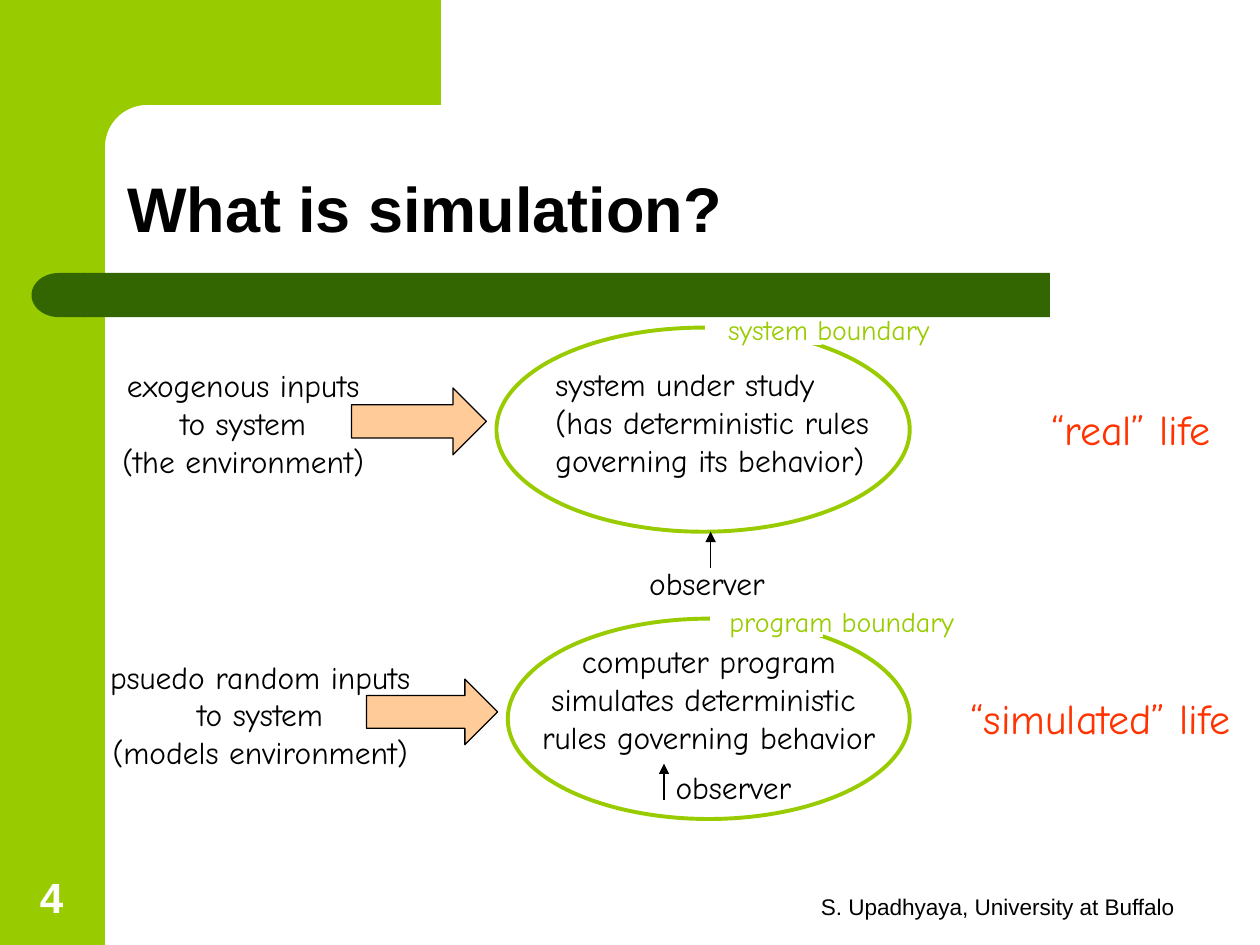
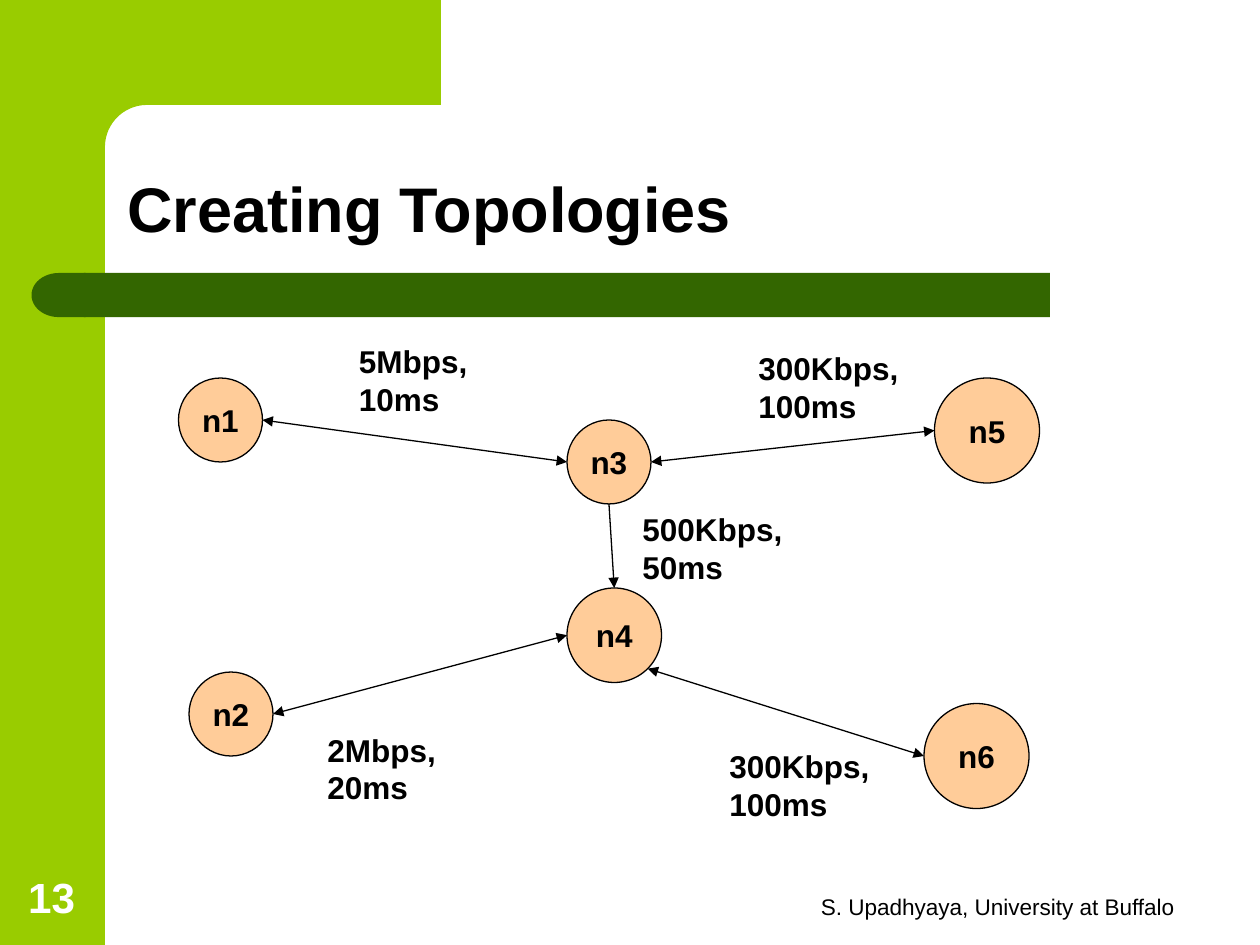
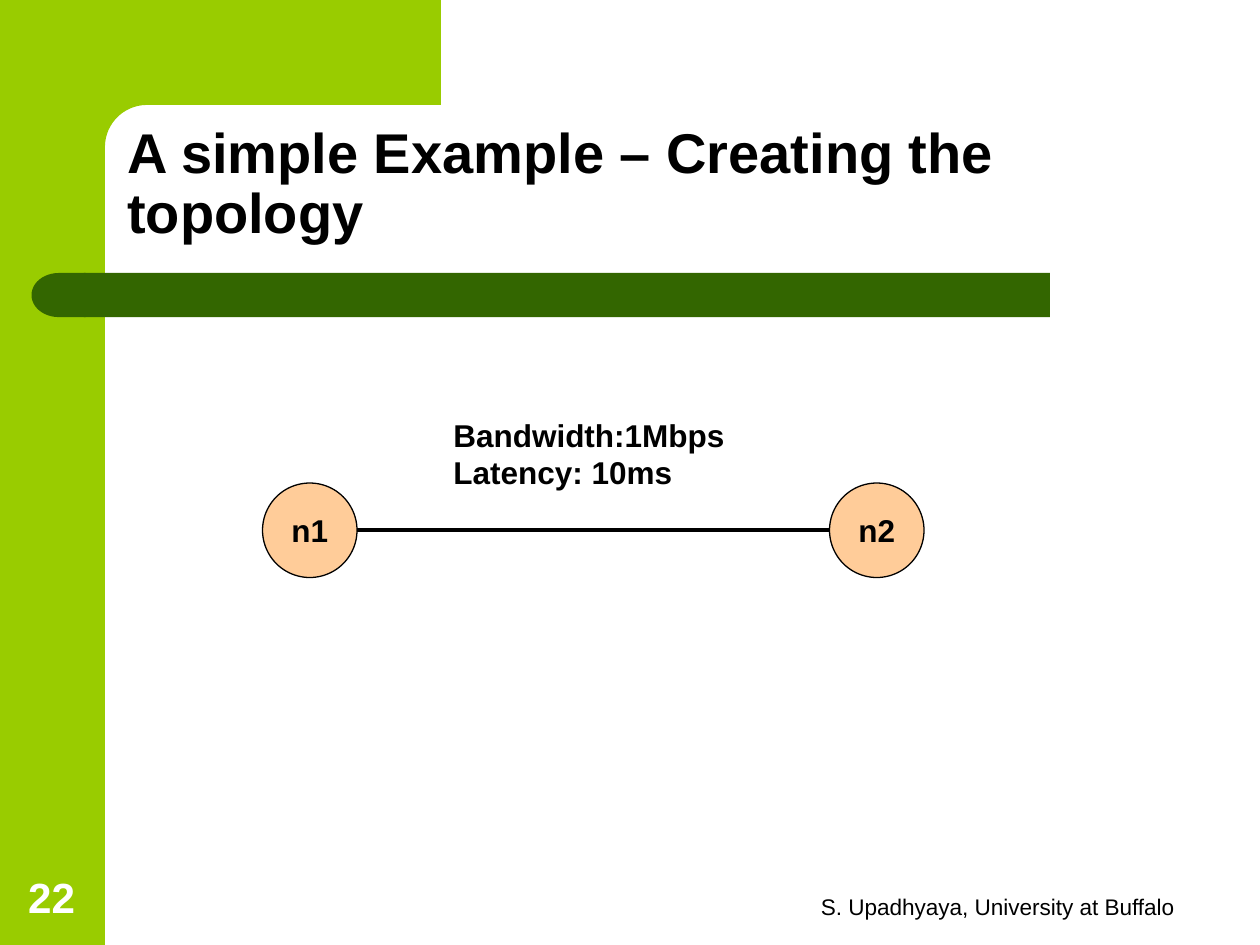
"""Three slides on network simulation, laid out on a grid of twelve cells per inch."""
from dataclasses import dataclass
from math import cos, radians, sin
from typing import Any, NamedTuple

from pptx import Presentation
from pptx.dml.color import RGBColor
from pptx.enum.shapes import MSO_CONNECTOR, MSO_SHAPE
from pptx.enum.text import MSO_ANCHOR, MSO_AUTO_SIZE, PP_ALIGN
from pptx.oxml.ns import qn
from pptx.util import Inches, Pt

RECTANGLE, ELLIPSE = MSO_SHAPE.RECTANGLE, MSO_SHAPE.OVAL
ARROW, DELAY = MSO_SHAPE.RIGHT_ARROW, MSO_SHAPE.FLOWCHART_DELAY
STRAIGHT = MSO_CONNECTOR.STRAIGHT
LEFT, CENTER = PP_ALIGN.LEFT, PP_ALIGN.CENTER
TOP, MIDDLE, BOTTOM = MSO_ANCHOR.TOP, MSO_ANCHOR.MIDDLE, MSO_ANCHOR.BOTTOM
FIT_SHAPE, NO_FIT = MSO_AUTO_SIZE.SHAPE_TO_FIT_TEXT, MSO_AUTO_SIZE.NONE

COLUMNS, ROWS, CELL = 120, 90, Inches(1) // 12
TITLE_ONLY = 5
COLORS = {"green": "99CC00", "dark": "336600", "peach": "FFCC99",
          "red": "FF3300", "black": "000000", "white": "FFFFFF"}
SANS, HAND = "Arial", "Comic Neue"
FOOTER = "S. Upadhyaya, University at Buffalo"
THIN, THICK = 0.75, 2.25


class Point(NamedTuple):
    x: float
    y: float


class Box(NamedTuple):
    left: float
    top: float
    width: float
    height: float


class Style(NamedTuple):
    size: float = 18
    font: str = SANS
    color: str = "black"
    bold: bool = True
    align: Any = LEFT


@dataclass
class Label:
    text: str
    left: float
    top: float
    width: float

    def box(self, size: float) -> Box:
        lines = self.text.count("\n") + 1
        return Box(self.left, self.top, self.width, 1.2 + lines * size / 5)


@dataclass
class Node:
    name: str
    left: float
    top: float
    size: float

    def rim(self, angle: float) -> Point:
        """Point on the circle; 0 is right and 90 is down."""
        radius, turn = self.size / 2, radians(angle)
        return Point(self.left + radius * (1 + cos(turn)), self.top + radius * (1 + sin(turn)))


class Link(NamedTuple):
    start: str
    start_angle: float
    end: str
    end_angle: float
    heads: tuple[str, ...] = ("head", "tail")
    width: float = THIN


@dataclass
class Scene:
    ellipse: Box
    rules: Label
    rules_align: Any
    arrow: Box
    inputs: Label
    gap: Box
    boundary: Label
    watch: tuple[Point, Point]
    observer: Label
    life: Label


# Styles
BOLD = Style()
NODE = Style(align=CENTER)
TITLE = Style(36)
NUMBER = Style(24.1, color="white", align=CENTER)
SMALL = Style(12.9, bold=False, align=CENTER)
NOTE = Style(font=HAND, bold=False, align=CENTER)
BOUNDARY = Style(16, HAND, "green", False)
LIFE = Style(24, HAND, "red", False, CENTER)

# Slide contents
SCENES = [
    Scene(Box(47.28, 31.2, 39.36, 19.44),
          Label("system under study\n(has deterministic rules\ngoverning its behavior)",
                51.72, 34.2, 33.36), LEFT,
          Box(33.48, 36.96, 12.84, 6.36),
          Label("exogenous inputs\nto system\n(the environment)", 10.44, 34.32, 25.44),
          Box(67.2, 30.48, 11.04, 2.28),
          Label("system boundary", 68.16, 29.16, 21.6),
          (Point(67.68, 54.12), Point(67.68, 50.64)),
          Label("observer", 60.6, 53.16, 13.44),
          Label("“real” life", 98.88, 37.8, 17.64)),
    Scene(Box(48.36, 58.92, 38.28, 19.08),
          Label("computer program\nsimulates deterministic \nrules governing behavior",
                50.4, 60.6, 34.2), CENTER,
          Box(34.92, 64.68, 12.48, 6.24),
          Label("psuedo random inputs\nto system\n(models environment)", 9.24, 62.04, 31.08),
          Box(67.68, 58.32, 10.68, 2.28),
          Label("program boundary", 68.28, 57, 23.88),
          (Point(63.24, 76.2), Point(63.24, 72.72)),
          Label("observer", 63.12, 72.6, 13.44),
          Label("“simulated” life", 91.2, 65.4, 27.24)),
]
TOPOLOGY_NODES = [Node("n1", 17, 36, 8), Node("n2", 18, 64, 8), Node("n3", 54, 40, 8),
                  Node("n4", 54, 56, 9), Node("n5", 89, 36, 10), Node("n6", 88, 67, 10)]
TOPOLOGY_LINKS = [Link("n2", 0, "n4", 180), Link("n4", 45, "n6", 180),
                  Link("n1", 0, "n3", 180), Link("n3", 90, "n4", 270, ("tail",)),
                  Link("n3", 0, "n5", 180)]
TOPOLOGY_LABELS = [Label("5Mbps,\n10ms", 33, 32, 12.72), Label("2Mbps,\n20ms", 30, 69, 12.72),
                   Label("300Kbps,\n100ms", 71.04, 32.64, 15.72),
                   Label("300Kbps,\n100ms", 68.28, 70.56, 15.72),
                   Label("500Kbps,\n50ms", 60, 48, 15.72)]
PAIR_NODES = [Node("n1", 25, 46, 9), Node("n2", 79, 46, 9)]
PAIR_LINKS = [Link("n1", 0, "n2", 180, (), THICK)]
PAIR_LABELS = [Label("Bandwidth:1Mbps\nLatency: 10ms", 42, 39, 28.2)]


# Drawing helpers
def emu(*cells: float) -> list[int]:
    return [round(cell * CELL) for cell in cells]


def rgb(name: str) -> RGBColor:
    return RGBColor.from_string(COLORS[name])


def apply(target: Any, values: dict[str, Any]) -> None:
    for name, value in values.items():
        setattr(target, name, value)


def write(frame: Any, text: str, style: Style, anchor: Any = TOP, wrap: bool = False,
          fit: Any = NO_FIT, spacing: float = 1.0) -> None:
    apply(frame, {"text": text, "word_wrap": wrap, "auto_size": fit, "vertical_anchor": anchor})
    for para in frame.paragraphs:
        apply(para, {"alignment": style.align, "line_spacing": spacing})
        for span in para.runs:
            apply(span.font, {"size": Pt(style.size), "name": style.font, "bold": style.bold})
            span.font.color.rgb = rgb(style.color)


def paint(shape: Any, fill: str, line: str | None = None, width: float = THIN) -> Any:
    shape.shadow.inherit = False
    shape.fill.solid()
    shape.fill.fore_color.rgb = rgb(fill)
    if line is None:
        shape.line.fill.background()
    else:
        shape.line.color.rgb = rgb(line)
        shape.line.width = Pt(width)
    return shape


def add_shape(page: Any, kind: Any, box: Box, fill: str, line: str | None = None,
              width: float = THIN) -> Any:
    return paint(page.shapes.add_shape(kind, *emu(*box)), fill, line, width)


def add_label(page: Any, label: Label, style: Style) -> None:
    box = page.shapes.add_textbox(*emu(*label.box(style.size)))
    write(box.text_frame, label.text, style, fit=FIT_SHAPE)


def add_line(page: Any, start: Point, end: Point, heads: tuple[str, ...],
             width: float = THIN) -> None:
    line = page.shapes.add_connector(STRAIGHT, *emu(*start, *end))
    line.line.color.rgb = rgb("black")
    line.line.width = Pt(width)
    properties = line.element.spPr
    outline = properties.find(qn("a:ln"))
    for head in heads:
        outline.makeelement(qn(f"a:{head}End"), {"type": "triangle"})
        outline.append(outline.makeelement(qn(f"a:{head}End"), {"type": "triangle"}))
    properties.append(properties.makeelement(qn("a:effectLst"), {}))


# Shared frame of every slide
def add_corner(page: Any) -> None:
    """Top band whose inner corner is a quarter circle."""
    center, radius = 14, 4
    curve = [Point(center - radius * sin(radians(angle)), center - radius * cos(radians(angle)))
             for angle in range(0, 91, 6)]
    outline = [Point(42, 10), *curve, Point(10, 15.4), Point(6, 15.4), Point(6, 0)]
    builder = page.shapes.build_freeform(*emu(42, 0))
    builder.add_line_segments([tuple(emu(*point)) for point in outline])
    paint(builder.convert_to_shape(), "green")


def add_page(deck: Any, title: str, number: int, title_size: float = TITLE.size) -> Any:
    page = deck.slides.add_slide(deck.slide_layouts[TITLE_ONLY])
    add_shape(page, RECTANGLE, Box(0, 0, 10, ROWS), "green")
    add_corner(page)
    add_shape(page, RECTANGLE, Box(8, 26, 92, 4.2), "dark")
    add_shape(page, DELAY, Box(3, 26, 5.16, 4.2), "dark").rotation = 180

    heading = page.shapes.title
    places = emu(10.92, 10.92, 102.12, 13.08)
    apply(heading, dict(zip(("left", "top", "width", "height"), places)))
    write(heading.text_frame, title, TITLE._replace(size=title_size), BOTTOM, True, spacing=0.9)

    for text, style, box in [(str(number), NUMBER, Box(1.08, 82, 7.68, 6.36)),
                             (FOOTER, SMALL, Box(76, 82, 38, 6.24))]:
        frame = page.shapes.add_textbox(*emu(*box)).text_frame
        write(frame, text, style, BOTTOM, True)
    return page


# Slide bodies
def add_scene(page: Any, scene: Scene) -> None:
    add_shape(page, ELLIPSE, scene.ellipse, "white", "green", THICK)
    add_label(page, scene.rules, NOTE._replace(align=scene.rules_align))
    add_shape(page, ARROW, scene.arrow, "peach", "black")
    add_label(page, scene.inputs, NOTE)
    add_shape(page, RECTANGLE, scene.gap, "white", "white")
    add_label(page, scene.boundary, BOUNDARY)
    add_line(page, *scene.watch, ("tail",))
    add_label(page, scene.observer, NOTE)
    add_label(page, scene.life, LIFE)


def add_network(page: Any, nodes: list[Node], links: list[Link], labels: list[Label]) -> None:
    by_name = {node.name: node for node in nodes}
    for node in nodes:
        circle = add_shape(page, ELLIPSE, Box(node.left, node.top, node.size, node.size),
                           "peach", "black")
        write(circle.text_frame, node.name, NODE, MIDDLE)
    for link in links:
        add_line(page, by_name[link.start].rim(link.start_angle),
                 by_name[link.end].rim(link.end_angle), link.heads, link.width)
    for label in labels:
        add_label(page, label, BOLD)


def main() -> None:
    deck = Presentation()
    deck.slide_width, deck.slide_height = emu(COLUMNS, ROWS)

    page = add_page(deck, "What is simulation?", 4)
    for scene in SCENES:
        add_scene(page, scene)

    page = add_page(deck, "Creating Topologies", 13)
    add_network(page, TOPOLOGY_NODES, TOPOLOGY_LINKS, TOPOLOGY_LABELS)

    page = add_page(deck, "A simple Example – Creating the topology", 22, 32)
    add_network(page, PAIR_NODES, PAIR_LINKS, PAIR_LABELS)

    deck.save("out.pptx")


if __name__ == "__main__":
    main()
